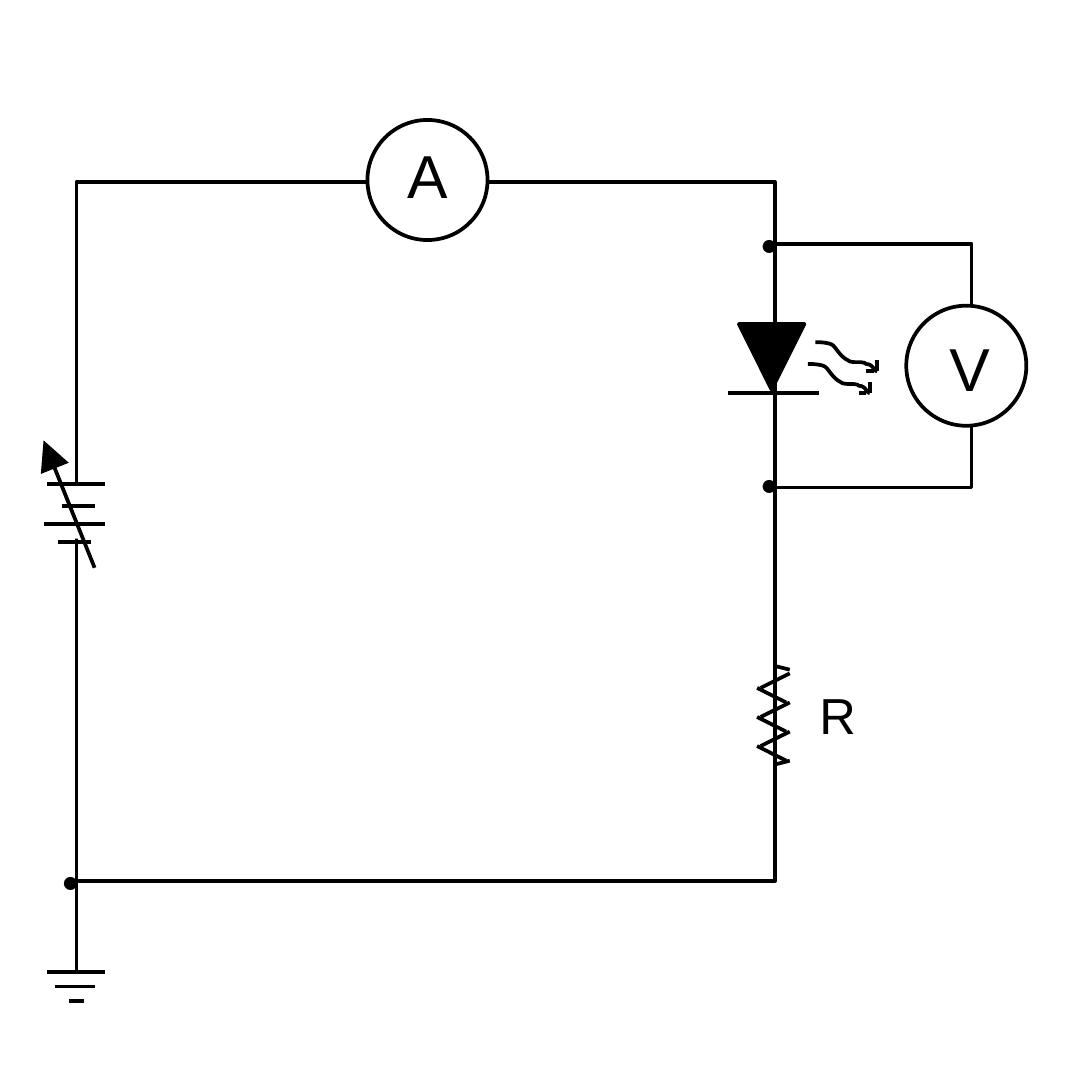
"""Draw a circuit for measuring an LED's current and voltage."""
from dataclasses import dataclass
from typing import Any, Optional

import lxml.etree
import pptx
import pptx.dml.color
import pptx.enum.shapes
import pptx.enum.text
import pptx.oxml.ns
import pptx.util

Inches = pptx.util.Inches
SHAPE = pptx.enum.shapes.MSO_SHAPE
ALIGN = pptx.enum.text.PP_ALIGN
BLACK, WHITE = "000000", "FFFFFF"
Point = tuple[float, float]


@dataclass(frozen=True)
class Wire:
    start: Point
    end: Point
    arrow: bool = False


@dataclass(frozen=True)
class Block:
    kind: Any
    left: float
    top: float
    width: float
    height: float
    fill: Optional[str] = None
    line: Optional[str] = BLACK


@dataclass(frozen=True)
class Label:
    text: str
    left: float
    top: float
    width: float
    height: float
    size: float
    align: Any = ALIGN.LEFT


BLOCKS = [
    Block(SHAPE.RECTANGLE, 0.21, 0.5, 1.92, 1.92),
    Block(SHAPE.RECTANGLE, 0.17, 1.33, 0.08, 0.15, WHITE, None),
    Block(SHAPE.RECTANGLE, 2.13, 0.67, 0.54, 0.67),
    Block(SHAPE.OVAL, 1.01, 0.33, 0.33, 0.33, WHITE),
    Block(SHAPE.OVAL, 2.49, 0.84, 0.33, 0.33, WHITE),
]
GROUND = [
    Wire((0.21, 2.42), (0.21, 2.67)),
    Wire((0.13, 2.67), (0.29, 2.67)),
    Wire((0.15, 2.71), (0.26, 2.71)),
    Wire((0.19, 2.75), (0.23, 2.75)),
]
SUPPLY = [
    Wire((0.13, 1.33), (0.29, 1.33)),
    Wire((0.17, 1.39), (0.26, 1.39)),
    Wire((0.12, 1.44), (0.29, 1.44)),
    Wire((0.16, 1.49), (0.25, 1.49)),
    Wire((0.26, 1.56), (0.12, 1.21), True),
]
DIODE = [(2.03, 0.89), (2.12, 1.07), (2.21, 0.89)]
BAR = Wire((2.0, 1.08), (2.25, 1.08))
LEADS = [
    Wire((2.13, 1.75), (2.13, 1.83)),
    Wire((2.13, 1.83), (2.17, 1.84)),
    Wire((2.13, 2.1), (2.17, 2.09)),
    Wire((2.13, 2.1), (2.13, 2.18)),
]
TEETH = [
    Wire((2.17, 1.85), (2.09, 1.89)),
    Wire((2.08, 1.89), (2.16, 1.93)),
]
WAVE = [
    (2.22, 1.0),
    (2.23, 1.0), (2.26, 1.0), (2.27, 1.01),
    (2.28, 1.02), (2.29, 1.04), (2.31, 1.05),
    (2.32, 1.06), (2.35, 1.05), (2.36, 1.06),
    (2.38, 1.06), (2.38, 1.08), (2.39, 1.08),
]
BARBS = [
    Wire((2.39, 1.08), (2.39, 1.05)),
    Wire((2.38, 1.08), (2.36, 1.08)),
]
LABELS = [
    Label("A", 1.02, 0.33, 0.31, 0.3, 12),
    Label("V", 2.51, 0.86, 0.31, 0.3, 12),
    Label("R", 2.15, 1.83, 0.3, 0.27, 10, ALIGN.RIGHT),
    *(Label("●", x, y, 0.28, 0.2, 6)
      for x, y in [(0.07, 2.32), (1.99, 1.23), (1.99, 0.57)]),
]


def paint(part: Any, color: str) -> None:
    part.solid()
    part.fore_color.rgb = pptx.dml.color.RGBColor.from_string(color)


def style(shape: Any, fill: Optional[str], line: Optional[str]) -> None:
    shape.shadow.inherit = False
    for part, color in ((shape.fill, fill), (shape.line.fill, line)):
        if color:
            paint(part, color)
        else:
            part.background()
    if line:
        shape.line.width = pptx.util.Pt(0.75)


def add_block(shapes: Any, block: Block) -> None:
    box = map(Inches, (block.left, block.top, block.width, block.height))
    style(shapes.add_shape(block.kind, *box), block.fill, block.line)


def add_wire(shapes: Any, wire: Wire) -> None:
    straight = pptx.enum.shapes.MSO_CONNECTOR.STRAIGHT
    ends = map(Inches, (*wire.start, *wire.end))
    link = shapes.add_connector(straight, *ends)
    paint(link.line.fill, BLACK)
    link.line.width = pptx.util.Pt(0.75)
    qn = pptx.oxml.ns.qn
    if wire.arrow:
        stroke = link.line.fill._xPr
        lxml.etree.SubElement(stroke, qn("a:tailEnd"), type="triangle")
    lxml.etree.SubElement(link._element.spPr, qn("a:effectLst"))


def add_path(shapes: Any, points: list[Point], close: bool) -> None:
    spots = [(Inches(x), Inches(y)) for x, y in points]
    pen = shapes.build_freeform(*spots[0])
    pen.add_line_segments(spots[1:], close=close)
    style(pen.convert_to_shape(), BLACK if close else None, BLACK)


def add_label(shapes: Any, label: Label) -> None:
    box = map(Inches, (label.left, label.top, label.width, label.height))
    frame = shapes.add_textbox(*box).text_frame
    frame.word_wrap = False
    frame.auto_size = pptx.enum.text.MSO_AUTO_SIZE.SHAPE_TO_FIT_TEXT
    line = frame.paragraphs[0]
    line.text = label.text
    line.alignment = label.align
    line.font.name = "Arial"
    line.font.size = pptx.util.Pt(label.size)
    paint(line.font.fill, BLACK)


def shift(point: Point, dx: float, dy: float) -> Point:
    return point[0] + dx, point[1] + dy


def move(wire: Wire, dx: float, dy: float) -> Wire:
    return Wire(shift(wire.start, dx, dy), shift(wire.end, dx, dy))


def curve(knots: list[Point], steps: int = 8) -> list[Point]:
    points = [knots[0]]
    for first in range(0, len(knots) - 1, 3):
        a, b, c, d = knots[first:first + 4]
        for step in range(1, steps + 1):
            t = step / steps
            u = 1 - t
            x, y = (u**3 * p + 3 * u * u * t * q + 3 * u * t * t * r + t**3 * s
                    for p, q, r, s in zip(a, b, c, d))
            points.append((x, y))
    return points


def main() -> None:
    deck = pptx.Presentation()
    deck.slide_width = deck.slide_height = Inches(3)
    slide = deck.slides.add_slide(deck.slide_layouts[6])
    paint(slide.background.fill, WHITE)
    shapes = slide.shapes
    for block in BLOCKS:
        add_block(shapes, block)
    for wire in [*GROUND, *SUPPLY, BAR]:
        add_wire(shapes, wire)
    add_path(shapes, DIODE, True)
    for dx, dy in [(0, 0), (0.02, -0.06)]:
        add_path(shapes, [shift(p, dx, dy) for p in curve(WAVE)], False)
        for barb in BARBS:
            add_wire(shapes, move(barb, dx, dy))
    coil = shapes.add_group_shape().shapes
    zigzag = [move(tooth, 0, 0.08 * row) for row in range(3) for tooth in TEETH]
    for wire in LEADS + zigzag:
        add_wire(coil, wire)
    for label in LABELS:
        add_label(shapes, label)
    deck.save("out.pptx")


if __name__ == "__main__":
    main()
